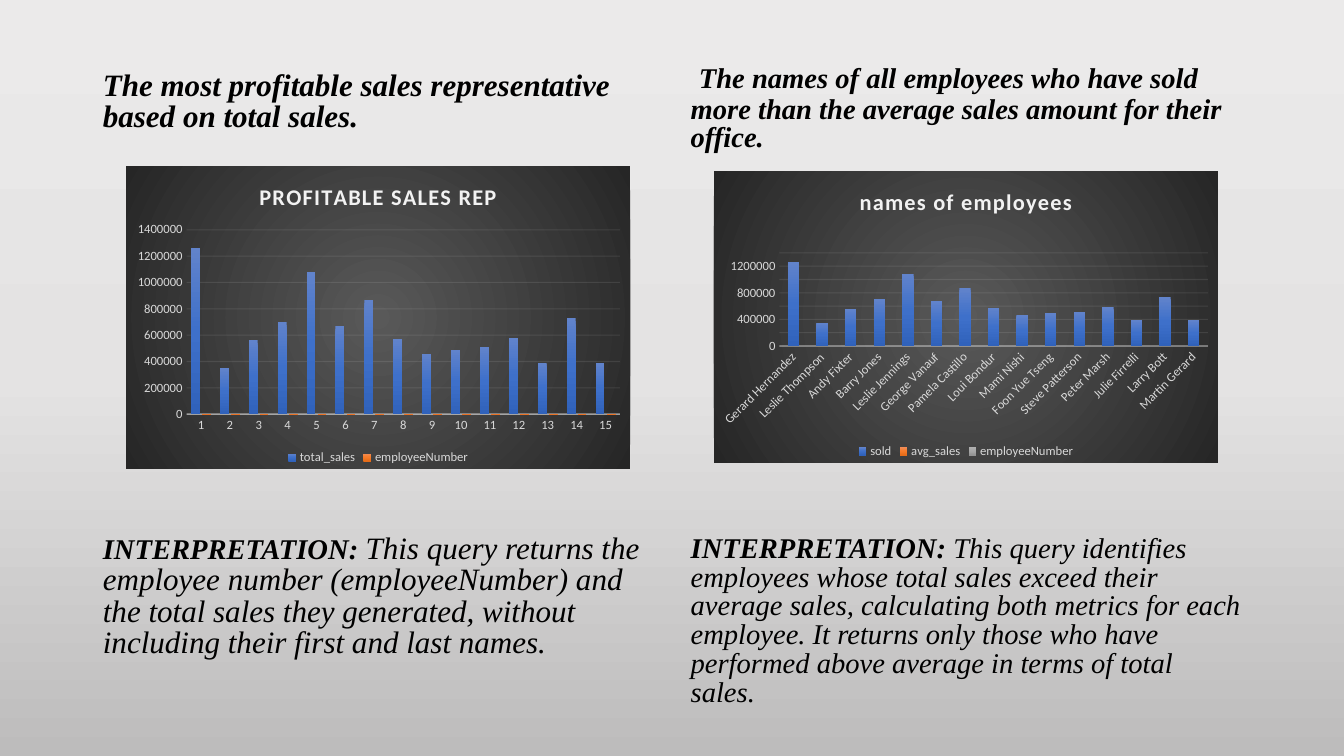
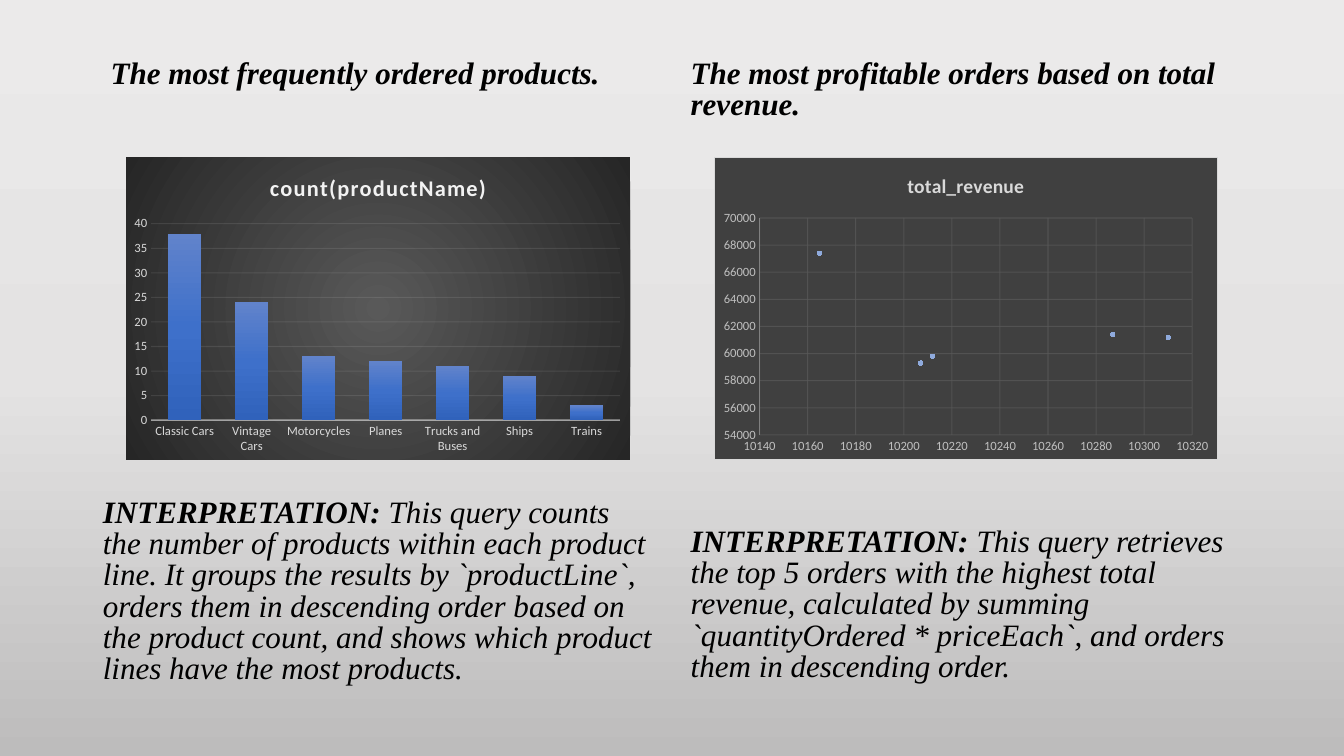
from pptx import Presentation
from pptx.chart.data import CategoryChartData, XyChartData
from pptx.dml.color import RGBColor
from pptx.enum.chart import XL_CHART_TYPE, XL_LEGEND_POSITION, XL_MARKER_STYLE, XL_TICK_MARK
from pptx.enum.text import MSO_ANCHOR, MSO_AUTO_SIZE
from pptx.oxml import parse_xml
from pptx.oxml.ns import nsdecls, qn
from pptx.util import Inches, Pt

BLACK = RGBColor(0x00, 0x00, 0x00)
NEAR_WHITE = RGBColor(0xF2, 0xF2, 0xF2)
PALE_GREY = RGBColor(0xD9, 0xD9, 0xD9)
SILVER = RGBColor(0xBF, 0xBF, 0xBF)
MID_GREY = RGBColor(0x80, 0x80, 0x80)
DARK_GREY = RGBColor(0x59, 0x59, 0x59)
CHARCOAL = RGBColor(0x40, 0x40, 0x40)
NIGHT = RGBColor(0x26, 0x26, 0x26)
LIGHT_BLUE = RGBColor(0x8F, 0xAA, 0xDC)

PAGE_GRADIENT = (RGBColor(0xEB, 0xEA, 0xEA), RGBColor(0xE4, 0xE3, 0xE3), RGBColor(0xBD, 0xBC, 0xBC))
SERIES_GRADIENTS = (
    (RGBColor(0x61, 0x83, 0xCB), RGBColor(0x3E, 0x70, 0xCA), RGBColor(0x30, 0x62, 0xBB)),
    (RGBColor(0xF1, 0x8C, 0x57), RGBColor(0xF6, 0x7B, 0x28), RGBColor(0xE5, 0x6C, 0x19)),
    (RGBColor(0xAF, 0xAF, 0xAF), RGBColor(0xA5, 0xA5, 0xA5), RGBColor(0x93, 0x93, 0x93)),
)

TEXT_FONT = "Times New Roman"
CHART_FONT = "Calibri"
COMPARISON_LAYOUT = 4
TEXT_LEFTS = (0.92, 6.75)
CHART_LEFTS = (1.25, 7.08)
TEXT_WIDTH = 5.67
CHART_WIDTH = 5

EMPLOYEES = (
    "Gerard Hernandez", "Leslie Thompson", "Andy Fixter", "Barry Jones", "Leslie Jennings",
    "George Vanauf", "Pamela Castillo", "Loui Bondur", "Mami Nishi", "Foon Yue Tseng",
    "Steve Patterson", "Peter Marsh", "Julie Firrelli", "Larry Bott", "Martin Gerard",
)
SALES = (1260000, 350000, 560000, 700000, 1080000, 670000, 870000, 570000,
         460000, 490000, 510000, 580000, 390000, 730000, 390000)
NO_SALES = (0,) * len(SALES)
PRODUCT_COUNTS = {
    "Classic Cars": 38, "Vintage Cars": 24, "Motorcycles": 13, "Planes": 12,
    "Trucks and Buses": 11, "Ships": 9, "Trains": 3,
}
ORDER_REVENUES = ((10165, 67400), (10287, 61400), (10310, 61200), (10212, 59800), (10207, 59300))


def set_gradient(properties, colours, radial=False):
    """Put an evenly spaced gradient fill first in a properties element."""
    for old in properties.findall(qn("a:gradFill")):
        properties.remove(old)
    step = 100000 // (len(colours) - 1)
    stops = "".join(
        f'<a:gs pos="{index * step}"><a:srgbClr val="{colour}"/></a:gs>'
        for index, colour in enumerate(colours)
    )
    if radial:
        direction = ('<a:path path="circle"><a:fillToRect l="50000" t="50000" '
                     'r="50000" b="50000"/></a:path>')
    else:
        direction = '<a:lin ang="5400000" scaled="0"/>'
    properties.insert(0, parse_xml(
        f'<a:gradFill {nsdecls("a")}><a:gsLst>{stops}</a:gsLst>{direction}</a:gradFill>'))


def style_line(line, colour, width, opacity=100):
    line.color.rgb = colour
    line.width = Pt(width)
    colour_element = line.fill._xPr.find(".//" + qn("a:srgbClr"))
    colour_element.append(parse_xml(f'<a:alpha {nsdecls("a")} val="{opacity * 1000}"/>'))


def style_font(font, name, size, colour, bold=False, italic=False):
    font.name = name
    font.size = Pt(size)
    font.color.rgb = colour
    font.bold = bold
    font.italic = italic


def write_text(box, left, top, height, runs):
    """Fill a placeholder with one paragraph of (text, size, bold, font) runs."""
    box.left, box.top = Inches(left), Inches(top)
    box.width, box.height = Inches(TEXT_WIDTH), Inches(height)
    frame = box.text_frame
    frame.word_wrap = True
    frame.auto_size = MSO_AUTO_SIZE.NONE
    frame.vertical_anchor = MSO_ANCHOR.TOP
    para = frame.paragraphs[0]
    para.line_spacing = 0.84
    para.space_before = Pt(0)
    settings = para._p.get_or_add_pPr()
    settings.set("marL", "0")
    settings.set("indent", "0")
    settings.append(parse_xml(f'<a:buNone {nsdecls("a")}/>'))
    for text, size, bold, font_name in runs:
        span = para.add_run()
        span.text = text
        style_font(span.font, font_name, size, BLACK, bold, italic=font_name == TEXT_FONT)


def add_column(page, side, heading_top, heading, note_top, note):
    """Write the heading and the interpretation of the left (0) or right (1) half."""
    left = TEXT_LEFTS[side]
    write_text(page.placeholders[1 + 2 * side], left, heading_top, 1.05, heading)
    write_text(page.placeholders[2 + 2 * side], left, note_top, 1.85, note)


def bold_text(text, size=22.2):
    return text, size, True, TEXT_FONT


def plain_text(text, size=22.2):
    return text, size, False, TEXT_FONT


def add_chart(page, side, top, height, kind, data, title, title_size, title_colour, spacing, plot_box):
    """Add a titled chart whose inner plot area is given in fractions of its size."""
    chart = page.shapes.add_chart(
        kind, Inches(CHART_LEFTS[side]), Inches(top), Inches(CHART_WIDTH), Inches(height), data).chart
    style_font(chart.font, CHART_FONT, 10, BLACK)
    chart.has_legend = False
    chart.has_title = True
    span = chart.chart_title.text_frame.paragraphs[0].add_run()
    span.text = title
    style_font(span.font, CHART_FONT, title_size, title_colour, bold=True)
    span.font._element.set("spc", str(spacing))
    chart.chart_title.include_in_layout = False

    plot_area = chart._chartSpace.chart.plotArea
    for old in plot_area.findall(qn("c:layout")):
        plot_area.remove(old)
    sizes = "".join(f'<c:{name} val="{value}"/>' for name, value in zip("xywh", plot_box))
    plot_area.insert(0, parse_xml(
        f'<c:layout {nsdecls("c")}><c:manualLayout><c:layoutTarget val="inner"/>'
        f'<c:xMode val="edge"/><c:yMode val="edge"/>{sizes}</c:manualLayout></c:layout>'))
    return chart


def add_chart_background(chart):
    background = parse_xml(f'<c:spPr {nsdecls("c", "a")}><a:ln><a:noFill/></a:ln></c:spPr>')
    chart._chartSpace.chart.addnext(background)
    return background


def style_axis(axis, colour, scale=None):
    axis.major_tick_mark = XL_TICK_MARK.NONE
    axis.minor_tick_mark = XL_TICK_MARK.NONE
    style_font(axis.tick_labels.font, CHART_FONT, 9, colour)
    if scale:
        axis.minimum_scale, axis.maximum_scale, axis.major_unit = scale


def add_bar_chart(page, side, top, height, kind, categories, series, title, scale,
                  gap, overlap, plot_box, legend=True):
    data = CategoryChartData()
    data.categories = categories
    for name, values in series.items():
        data.add_series(name, values)
    chart = add_chart(page, side, top, height, kind, data, title, 16, NEAR_WHITE, 100, plot_box)
    set_gradient(add_chart_background(chart), (DARK_GREY, NIGHT), radial=True)

    plot = chart.plots[0]
    plot.gap_width, plot.overlap = gap, overlap
    plot.vary_by_categories = False
    for bars, colours in zip(plot.series, SERIES_GRADIENTS):
        set_gradient(bars._element.get_or_add_spPr(), colours)

    style_axis(chart.category_axis, PALE_GREY)
    style_line(chart.category_axis.format.line, NEAR_WHITE, 1, 54)
    style_axis(chart.value_axis, PALE_GREY, scale)
    chart.value_axis.format.line.fill.background()
    style_line(chart.value_axis.major_gridlines.format.line, NEAR_WHITE, 0.75, 10)
    if legend:
        chart.has_legend = True
        chart.legend.position = XL_LEGEND_POSITION.BOTTOM
        chart.legend.include_in_layout = False
        style_font(chart.legend.font, CHART_FONT, 9, PALE_GREY)
    return chart


def add_scatter_chart(page):
    data = XyChartData()
    revenue = data.add_series("total_revenue")
    for order, amount in ORDER_REVENUES:
        revenue.add_data_point(order, amount)
    chart = add_chart(page, 1, 1.56, 3, XL_CHART_TYPE.XY_SCATTER, data, "total_revenue",
                      14, PALE_GREY, 0, (0.09, 0.2, 0.86, 0.72))
    background = add_chart_background(chart)
    background.clear()
    background.append(parse_xml(
        f'<a:solidFill {nsdecls("a")}><a:srgbClr val="{CHARCOAL}"/></a:solidFill>'))
    background.append(parse_xml(
        f'<a:ln {nsdecls("a")} w="{Pt(0.75)}"><a:solidFill>'
        f'<a:srgbClr val="{PALE_GREY}"/></a:solidFill></a:ln>'))

    chart.plots[0].vary_by_categories = False
    points = chart.plots[0].series[0]
    points.smooth = False
    points.format.line.fill.background()
    points.marker.style = XL_MARKER_STYLE.CIRCLE
    points.marker.size = 3
    points.marker.format.fill.solid()
    points.marker.format.fill.fore_color.rgb = LIGHT_BLUE
    points.marker.format.line.color.rgb = LIGHT_BLUE

    scales = ((10140, 10320, 20), (54000, 70000, 2000))
    for axis, scale in zip((chart.category_axis, chart.value_axis), scales):
        style_axis(axis, SILVER, scale)
        axis.has_major_gridlines = True
        style_line(axis.major_gridlines.format.line, DARK_GREY, 0.75, 75)
    chart.category_axis.format.line.fill.background()
    style_line(chart.value_axis.format.line, MID_GREY, 0.75)


def add_page(deck):
    page = deck.slides.add_slide(deck.slide_layouts[COMPARISON_LAYOUT])
    title = page.shapes.title.element
    title.getparent().remove(title)
    return page


def build_sales_page(deck):
    page = add_page(deck)
    add_column(
        page, 0, 0.66, [bold_text("The most profitable sales representative based on total sales.")],
        5.25, [bold_text("INTERPRETATION: ", 20.4),
               plain_text("This query returns the employee number (employeeNumber) and the total "
                          "sales they generated, without including their first and last names.")])
    add_column(
        page, 1, 0.54, [(" ", 25.9, False, CHART_FONT),
                        bold_text("The names of all employees who have sold more than the average "
                                  "sales amount for their office.", 20.4)],
        5.26, [bold_text("INTERPRETATION:", 20.4),
               plain_text(" This query identifies employees whose total sales exceed their average "
                          "sales, calculating both metrics for each employee. It returns only those "
                          "who have performed above average in terms of total sales.", 20.4)])
    scale = (0, 1400000, 200000)
    add_bar_chart(
        page, 0, 1.65, 3, XL_CHART_TYPE.COLUMN_CLUSTERED,
        [str(number) for number in range(1, len(SALES) + 1)],
        {"total_sales": SALES, "employeeNumber": NO_SALES},
        "PROFITABLE SALES REP", scale, 100, -24, (0.12, 0.21, 0.86, 0.61))
    names_chart = add_bar_chart(
        page, 1, 1.7, 2.89, XL_CHART_TYPE.COLUMN_STACKED, EMPLOYEES,
        {"sold": SALES, "avg_sales": NO_SALES, "employeeNumber": NO_SALES},
        "names of employees", scale, 150, 100, (0.13, 0.28, 0.85, 0.32))
    label_body = names_chart.category_axis._element.find(".//" + qn("a:bodyPr"))
    label_body.set("rot", "-2700000")


def build_orders_page(deck):
    page = add_page(deck)
    add_column(
        page, 0, 0.54, [bold_text(" The most frequently ordered products.")],
        4.89, [bold_text("INTERPRETATION: "),
               plain_text("This query counts the number of products within each product line. It "
                          "groups the results by `productLine`, orders them in descending order "
                          "based on the product count, and shows which product lines have the "
                          "most products.")])
    add_column(
        page, 1, 0.54, [bold_text("The most profitable orders based on total revenue.")],
        5.18, [bold_text("INTERPRETATION: "),
               plain_text("This query retrieves the top 5 orders with the highest total revenue, "
                          "calculated by summing `quantityOrdered * priceEach`, and orders them in "
                          "descending order.")])
    add_bar_chart(
        page, 0, 1.56, 3, XL_CHART_TYPE.COLUMN_CLUSTERED, list(PRODUCT_COUNTS),
        {"count(productName)": list(PRODUCT_COUNTS.values())},
        "count(productName)", (0, 40, 5), 100, -24, (0.05, 0.22, 0.93, 0.65), legend=False)
    add_scatter_chart(page)


def main():
    deck = Presentation()
    deck.slide_width, deck.slide_height = Inches(13.33), Inches(7.5)
    master = deck.slide_master
    master.background.fill.gradient()
    set_gradient(master.element.find(".//" + qn("p:bgPr")), PAGE_GRADIENT)
    build_sales_page(deck)
    build_orders_page(deck)
    deck.save("out.pptx")


if __name__ == "__main__":
    main()
